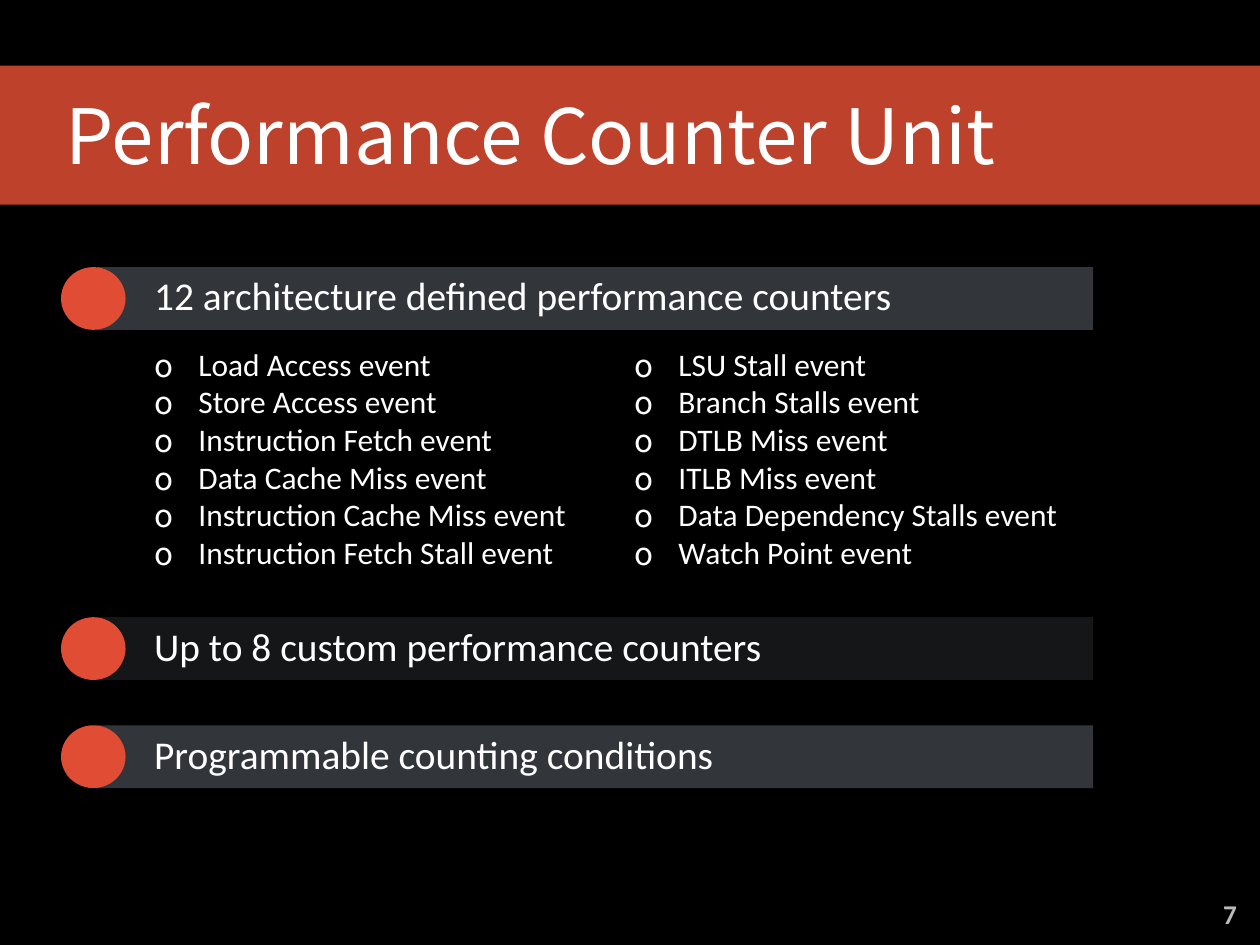
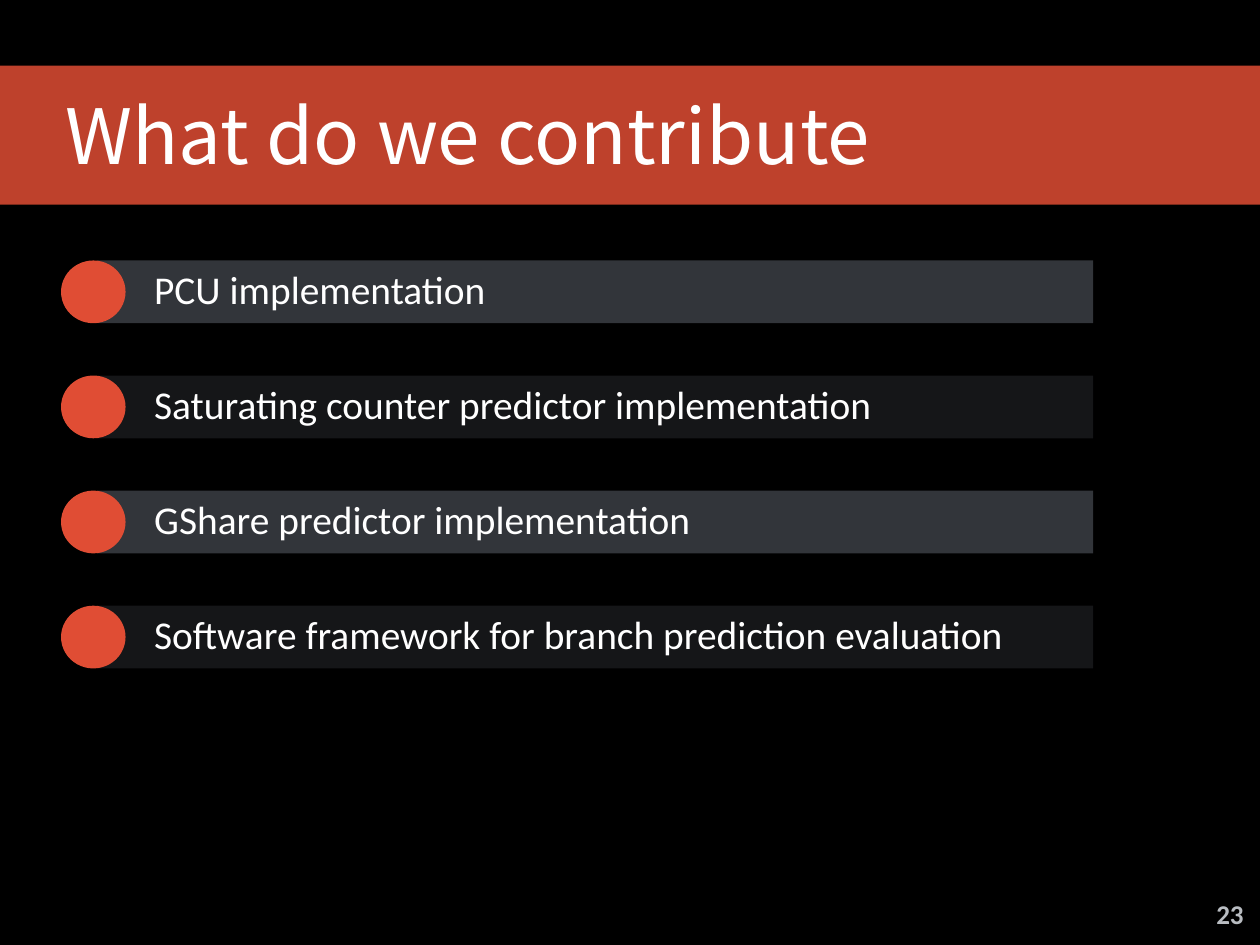
import dataclasses

import lxml.etree
import pptx
import pptx.dml.color
import pptx.enum.shapes
import pptx.enum.text
import pptx.oxml.ns
import pptx.util

Cm = pptx.util.Cm
SHAPES = pptx.enum.shapes.MSO_SHAPE
ALIGN = pptx.enum.text.PP_ALIGN
ANCHOR = pptx.enum.text.MSO_ANCHOR


@dataclasses.dataclass(frozen=True)
class Theme:
    background: str = "000000"
    accent: str = "E04D34"
    bars: tuple = ("32353A", "151618")
    text: str = "FFFFFF"
    number: str = "B8BCC1"
    heading_font: str = "Noto Sans CJK SC"
    body_font: str = "Calibri"
    title_size: float = 62
    bar_size: float = 32
    list_size: float = 25.5
    number_size: float = 22
    band_opacity: int = 85


class Deck:
    WIDTH, HEIGHT = 36.12, 27.1
    LEFT = 1.75
    BAR_LEFT, BAR_RIGHT, BAR_HEIGHT = 2.79, 31.34, 1.8
    TEXT_LEFT = 4.42
    INSET = 0.13

    def __init__(self, theme):
        self.theme = theme
        self.presentation = pptx.Presentation()
        self.presentation.slide_width = Cm(self.WIDTH)
        self.presentation.slide_height = Cm(self.HEIGHT)
        self.slide = None

    def color(self, value):
        return pptx.dml.color.RGBColor.from_string(value)

    def shape(self, preset, left, top, width, height, fill):
        shape = self.slide.shapes.add_shape(
            preset, Cm(left), Cm(top), Cm(width), Cm(height))
        shape.shadow.inherit = False
        shape.fill.solid()
        shape.fill.fore_color.rgb = self.color(fill)
        shape.line.fill.background()
        return shape

    def set_text(self, shape, lines, size, font=None, color=None, bold=False,
                 align=ALIGN.LEFT, inset=INSET, left_inset=None, bullet=False):
        frame = shape.text_frame
        frame.text = "\n".join(lines)
        frame.word_wrap = True
        frame.vertical_anchor = ANCHOR.TOP
        frame.margin_top = frame.margin_bottom = frame.margin_right = Cm(inset)
        frame.margin_left = Cm(inset if left_inset is None else left_inset)
        for paragraph in frame.paragraphs:
            paragraph.alignment = align
            if bullet:
                self.add_bullet(paragraph)
            for run in paragraph.runs:
                run.font.name = font or self.theme.body_font
                run.font.size = pptx.util.Pt(size)
                run.font.bold = bold
                run.font.color.rgb = self.color(color or self.theme.text)

    def add_bullet(self, paragraph):
        qn = pptx.oxml.ns.qn
        properties = paragraph._p.get_or_add_pPr()
        properties.set("marL", str(Cm(1.27)))
        properties.set("indent", str(Cm(-1.27)))
        bullet_color = lxml.etree.SubElement(properties, qn("a:buClr"))
        lxml.etree.SubElement(
            bullet_color, qn("a:srgbClr"), val=self.theme.text)
        lxml.etree.SubElement(
            properties, qn("a:buFont"), typeface=self.theme.heading_font)
        lxml.etree.SubElement(properties, qn("a:buChar"), char="o")

    def textbox(self, left, top, width, height, lines, size, **style):
        box = self.slide.shapes.add_textbox(
            Cm(left), Cm(top), Cm(width), Cm(height))
        self.set_text(box, lines, size, **style)

    def new_slide(self, title, number):
        theme = self.theme
        self.slide = self.presentation.slides.add_slide(
            self.presentation.slide_layouts[6])
        self.slide.background.fill.solid()
        self.slide.background.fill.fore_color.rgb = self.color(theme.background)

        # Translucent title band
        band = self.shape(SHAPES.RECTANGLE, 0, 1.88, self.WIDTH, 3.99,
                          theme.accent)
        qn = pptx.oxml.ns.qn
        band_color = band._element.spPr.find(qn("a:solidFill")).find(
            qn("a:srgbClr"))
        lxml.etree.SubElement(
            band_color, qn("a:alpha"), val=str(theme.band_opacity * 1000))
        self.textbox(self.LEFT, 2.41, 34.2, 2.92, [title], theme.title_size,
                     font=theme.heading_font)

        # Slide number
        self.textbox(34.65, 25.75, 1.22, 1.07, [str(number)],
                     theme.number_size, color=theme.number, bold=True,
                     align=ALIGN.CENTER, inset=0)

    def bar(self, top, text, shade):
        bar = self.shape(SHAPES.RECTANGLE, self.BAR_LEFT, top,
                         self.BAR_RIGHT - self.BAR_LEFT, self.BAR_HEIGHT,
                         self.theme.bars[shade % 2])
        self.set_text(bar, [text], self.theme.bar_size,
                      left_inset=self.TEXT_LEFT - self.BAR_LEFT)
        self.shape(SHAPES.OVAL, self.LEFT, top, 1.85, self.BAR_HEIGHT,
                   self.theme.accent)

    def bullets(self, left, top, lines):
        self.textbox(left, top, 13.5, 6.96, lines, self.theme.list_size,
                     inset=0.15, bullet=True)


def main():
    deck = Deck(Theme())

    # Performance counters
    deck.new_slide("Performance Counter Unit", 7)
    counter_bars = [
        (7.66, "12 architecture defined performance counters"),
        (17.7, "Up to 8 custom performance counters"),
        (20.8, "Programmable counting conditions"),
    ]
    for index, (top, text) in enumerate(counter_bars):
        deck.bar(top, text, index)
    event_columns = [
        ["Load Access event", "Store Access event",
         "Instruction Fetch event", "Data Cache Miss event",
         "Instruction Cache Miss event", "Instruction Fetch Stall event"],
        ["LSU Stall event", "Branch Stalls event",
         "DTLB Miss event", "ITLB Miss event",
         "Data Dependency Stalls event", "Watch Point event"],
    ]
    for column, events in enumerate(event_columns):
        deck.bullets(4.27 + 13.76 * column, 9.74, events)

    # Contributions
    deck.new_slide("What do we contribute", 23)
    contributions = [
        "PCU implementation",
        "Saturating counter predictor implementation",
        "GShare predictor implementation",
        "Software framework for branch prediction evaluation",
    ]
    for index, contribution in enumerate(contributions):
        deck.bar(7.47 + 3.3 * index, contribution, index)

    deck.presentation.save("out.pptx")


if __name__ == "__main__":
    main()
